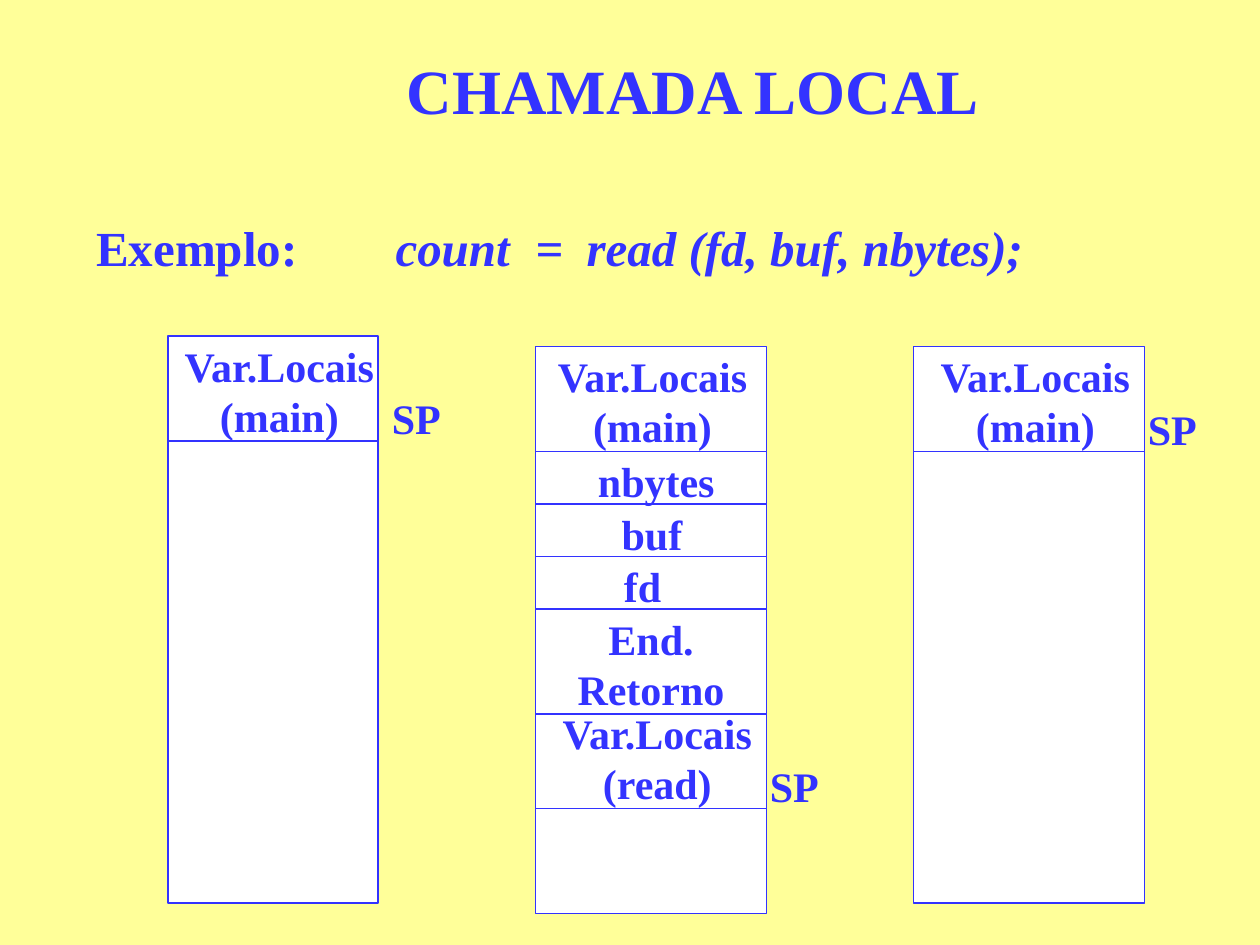
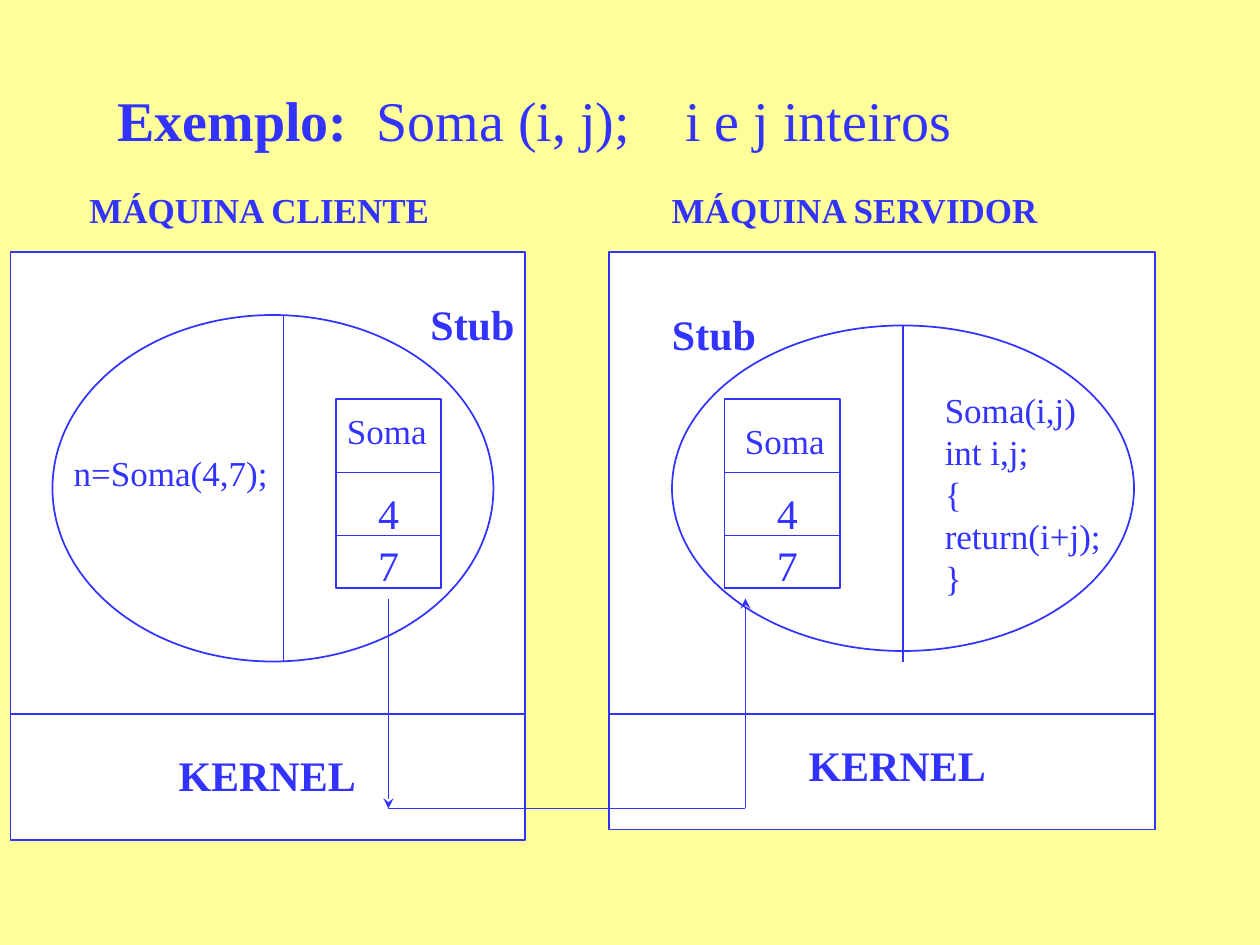
from dataclasses import dataclass

from lxml.etree import SubElement
from pptx import Presentation
from pptx.dml.color import RGBColor
from pptx.enum.shapes import MSO_CONNECTOR as Wire, MSO_SHAPE as Kind
from pptx.enum.text import MSO_ANCHOR as Anchor, PP_ALIGN as Align
from pptx.oxml.ns import qn
from pptx.slide import Slide
from pptx.util import Inches, Length, Pt


@dataclass(frozen=True)
class Theme:
    back: RGBColor = RGBColor(0xFF, 0xFF, 0x99)
    paper: RGBColor = RGBColor(0xFF, 0xFF, 0xFF)
    ink: RGBColor = RGBColor(0x33, 0x33, 0xFF)
    font: str = "Times New Roman"
    title: int = 36
    head: int = 32
    lead: int = 28
    body: int = 24
    small: int = 20
    line: int = 1


LOOK = Theme()
WIDE, HIGH = 10, 7.5
COLS, ROWS = 120, 90


@dataclass(frozen=True)
class Span:
    text: str
    bold: bool = True
    slant: bool = False


@dataclass(frozen=True)
class Label:
    text: str
    col: float
    row: float
    wide: float
    size: int = LOOK.body
    bold: bool = True
    align: Align = Align.CENTER


@dataclass(frozen=True)
class Stack:
    """A box divided by horizontal lines at the rows in cuts."""
    col: int
    row: int
    wide: int
    high: int
    cuts: tuple[int, ...]


@dataclass(frozen=True)
class Process:
    """An oval split by a vertical line that ends at row foot."""
    col: int
    row: int
    wide: int
    high: int
    split: int
    foot: int


def across(cols: float) -> Length:
    return Inches(cols * WIDE / COLS)


def down(rows: float) -> Length:
    return Inches(rows * HIGH / ROWS)


def add_span(para, span: Span, size: int) -> None:
    run = para.add_run()
    run.text = span.text
    font = run.font
    font.name, font.size = LOOK.font, Pt(size)
    font.bold, font.italic = span.bold, span.slant
    font.color.rgb = LOOK.ink


def add_label(slide: Slide, item: Label) -> None:
    lines = item.text.split("\n")
    high = Pt(len(lines) * item.size * 1.2) + Inches(0.1)
    box = slide.shapes.add_textbox(
        across(item.col), down(item.row), across(item.wide), high)
    frame = box.text_frame
    frame.word_wrap = False
    for i, line in enumerate(lines):
        para = frame.add_paragraph() if i else frame.paragraphs[0]
        para.alignment = item.align
        add_span(para, Span(line, item.bold), item.size)


def add_line(slide: Slide, start: tuple, end: tuple, arrow: bool = False) -> None:
    wire = slide.shapes.add_connector(
        Wire.STRAIGHT, across(start[0]), down(start[1]), across(end[0]), down(end[1]))
    wire.line.color.rgb = LOOK.ink
    wire.line.width = Pt(LOOK.line)
    if arrow:
        SubElement(wire.line._get_or_add_ln(), qn("a:tailEnd"), type="stealth")
    SubElement(wire._element.spPr, qn("a:effectLst"))


def add_form(slide: Slide, kind: Kind, item: Stack | Process) -> None:
    form = slide.shapes.add_shape(
        kind, across(item.col), down(item.row), across(item.wide), down(item.high))
    form.shadow.inherit = False
    form.fill.solid()
    form.fill.fore_color.rgb = LOOK.paper
    form.line.color.rgb = LOOK.ink
    form.line.width = Pt(LOOK.line)


def add_stack(slide: Slide, item: Stack) -> None:
    add_form(slide, Kind.RECTANGLE, item)
    for cut in item.cuts:
        add_line(slide, (item.col, cut), (item.col + item.wide, cut))


def add_process(slide: Slide, item: Process) -> None:
    add_form(slide, Kind.OVAL, item)
    add_line(slide, (item.split, item.row), (item.split, item.foot))


def add_banner(slide: Slide, place: tuple, spans: list[Span], size: int,
               align: Align = Align.LEFT, tabs: tuple[float, ...] = ()) -> None:
    """Draw one line of mixed text; tabs are stops in columns."""
    col, row, wide, high = place
    frame = slide.shapes.add_textbox(
        across(col), down(row), across(wide), down(high)).text_frame
    frame.word_wrap = True
    frame.vertical_anchor = Anchor.MIDDLE
    para = frame.paragraphs[0]
    para.alignment = align
    if tabs:
        stops = SubElement(para._p.get_or_add_pPr(), qn("a:tabLst"))
        for stop in tabs:
            SubElement(stops, qn("a:tab"), pos=str(across(stop)), algn="l")
    for span in spans:
        add_span(para, span, size)


def draw_local(slide: Slide) -> None:
    add_banner(slide, (15, 1, 102, 15), [Span("CHAMADA LOCAL")],
               LOOK.title, Align.CENTER)
    add_banner(slide, (8, 20.2, 108, 6.6),
               [Span("Exemplo:\t"),
                Span("count\t=\tread (fd, buf, nbytes);", slant=True)],
               LOOK.lead, tabs=(28.5, 41.8, 46.7))
    for stack in (Stack(16, 32, 20, 54, (42,)),
                  Stack(51, 33, 22, 54, (43, 48, 53, 58, 68, 77)),
                  Stack(87, 33, 22, 53, (43,))):
        add_stack(slide, stack)
    for col, row, wide in ((16, 31.8, 21.2), (49.3, 32.8, 25.7), (88, 32.8, 21.2)):
        add_label(slide, Label("Var.Locais\n(main)", col, row, wide))
    for item in (Label("nbytes", 55.7, 42.8, 13.6),
                 Label("buf", 58, 47.8, 8.2),
                 Label("fd", 58.2, 52.8, 6),
                 Label("End.\nRetorno", 53.8, 57.8, 16.4),
                 Label("Var.Locais\n(read)", 52, 66.8, 21.2)):
        add_label(slide, item)
    for col, row in ((36.1, 36.8), (72.1, 71.8), (108.1, 37.8)):
        add_label(slide, Label("SP", col, row, 7.1))


def draw_remote(slide: Slide) -> None:
    add_banner(slide, (10, 7.7, 102, 7.3),
               [Span("Exemplo:\t"), Span("Soma (i, j);\ti e j inteiros", False)],
               LOOK.head, tabs=(24.7, 54.1))
    for host in (Stack(1, 24, 49, 56, (68,)), Stack(58, 24, 52, 55, (68,))):
        add_stack(slide, host)
    for part in (Process(5, 30, 42, 33, 27, 63), Process(64, 31, 44, 31, 86, 63)):
        add_process(slide, part)
    for frame in (Stack(32, 38, 10, 18, (45, 51)), Stack(69, 38, 11, 18, (45, 51))):
        add_stack(slide, frame)

    route = ((37, 57), (37, 77), (71, 77), (71, 57))
    for start, end in zip(route, route[1:]):
        add_line(slide, start, end, arrow=start[0] == end[0])

    for col, row in ((15.8, 70.8), (75.8, 69.8)):
        add_label(slide, Label("KERNEL", col, row, 19.3))
    for col, row in ((39.8, 27.8), (62.8, 28.8)):
        add_label(slide, Label("Stub", col, row, 10.4))
    for col, row in ((31.8, 38.4), (69.7, 39.4)):
        add_label(slide, Label("Soma", col, row, 10.1, LOOK.small, False))
    for col in (34.8, 72.8):
        for text, row in (("4", 45.8), ("7", 50.8)):
            add_label(slide, Label(text, col, row, 4.4, bold=False))
    code = "Soma(i,j)\nint i,j;\n{\nreturn(i+j);\n}"
    for item in (Label("MÁQUINA CLIENTE", 7.2, 17.4, 35, LOOK.small),
                 Label("MÁQUINA SERVIDOR", 62.6, 17.4, 37.6, LOOK.small),
                 Label("n=Soma(4,7);", 5.8, 42.4, 20.9, LOOK.small, False),
                 Label(code, 88.8, 36.4, 17.3, LOOK.small, False, Align.LEFT)):
        add_label(slide, item)


def main() -> None:
    deck = Presentation()
    deck.slide_width, deck.slide_height = Inches(WIDE), Inches(HIGH)
    fill = deck.slide_master.background.fill
    fill.solid()
    fill.fore_color.rgb = LOOK.back
    for draw in (draw_local, draw_remote):
        draw(deck.slides.add_slide(deck.slide_layouts[6]))
    deck.save("out.pptx")


if __name__ == "__main__":
    main()
